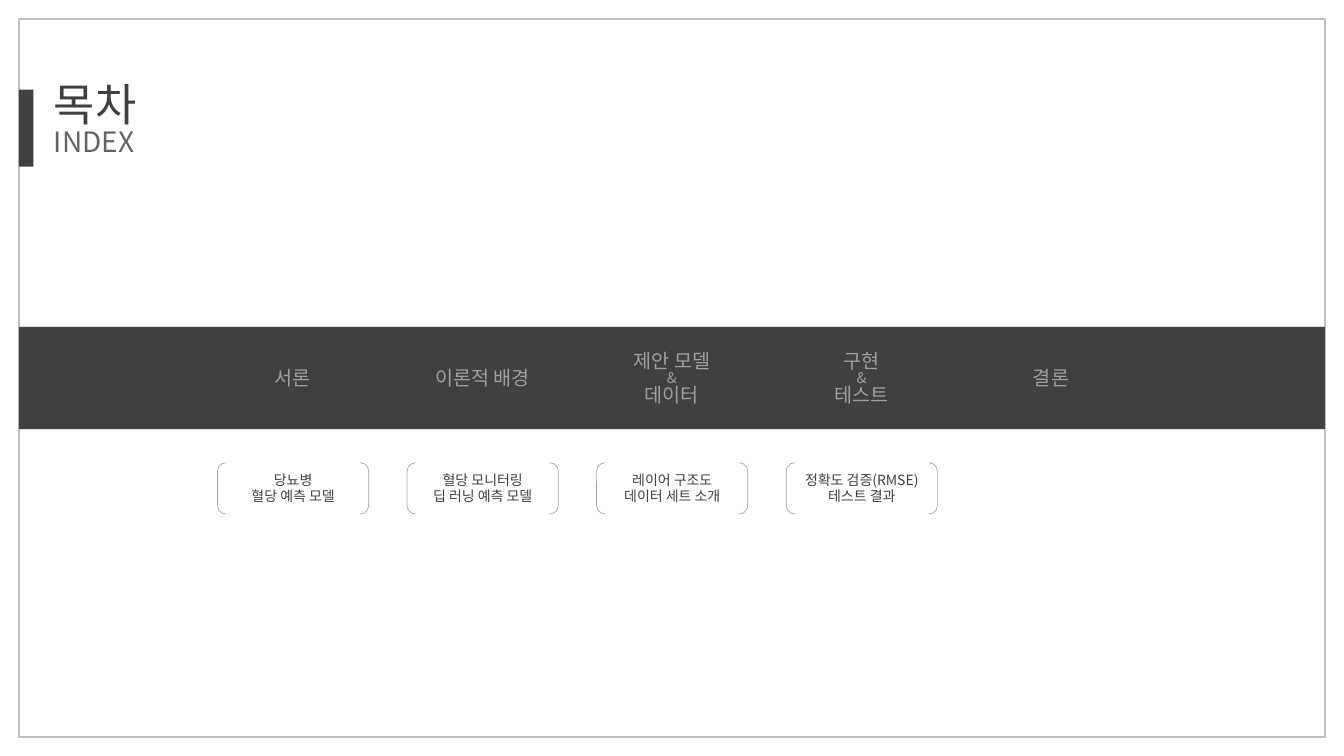
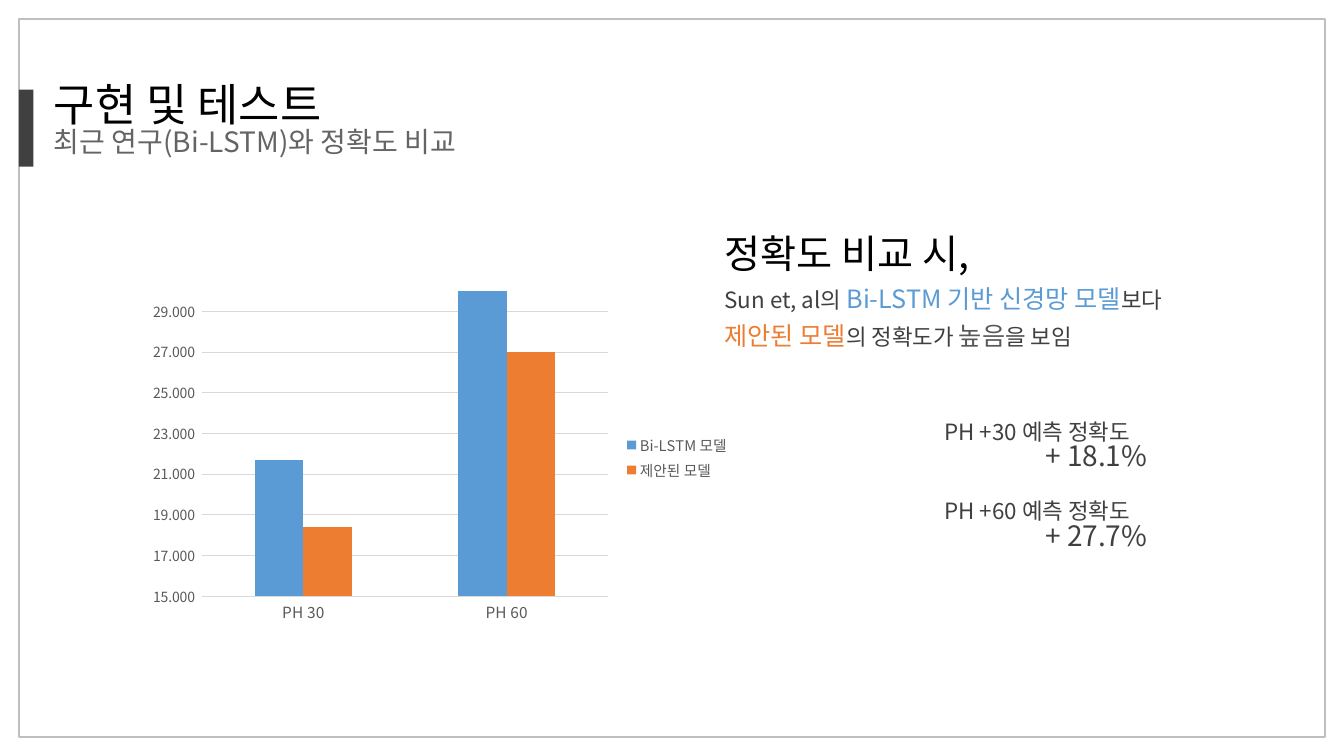
import pptx
import pptx.chart.data
import pptx.dml.color
import pptx.enum.chart
import pptx.enum.shapes
import pptx.enum.text
import pptx.oxml
import pptx.oxml.ns
import pptx.util

Pt = pptx.util.Pt
SHAPE = pptx.enum.shapes.MSO_SHAPE
ALIGN = pptx.enum.text.PP_ALIGN
ANCHOR = pptx.enum.text.MSO_ANCHOR
CHART = pptx.enum.chart

FONT = "Noto Sans CJK KR"
COLORS = {
    "black": "000000",
    "dark": "404040",
    "subtitle": "646464",
    "axis": "595959",
    "frame": "BFBFBF",
    "bracket": "A6A6A6",
    "label": "9F9F9F",
    "grid": "D9D9D9",
    "blue": "5B9BD5",
    "orange": "ED7D31",
}
COLORS = {name: pptx.dml.color.RGBColor.from_string(value) for name, value in COLORS.items()}


def add_box(slide, kind, box, fill=None, line=None, width=1):
    shape = slide.shapes.add_shape(kind, *map(Pt, box))
    shape.shadow.inherit = False
    if fill:
        shape.fill.solid()
        shape.fill.fore_color.rgb = COLORS[fill]
    else:
        shape.fill.background()
    if line:
        shape.line.color.rgb = COLORS[line]
        shape.line.width = Pt(width)
    else:
        shape.line.fill.background()
    return shape


def write_text(shape, paragraphs, frame_format):
    frame = shape.text_frame
    for name, value in frame_format.items():
        setattr(frame, name, value)
    for index, (runs, paragraph_format) in enumerate(paragraphs):
        paragraph = frame.paragraphs[0] if index == 0 else frame.add_paragraph()
        for name, value in paragraph_format.items():
            if name == "indent":
                paragraph._p.get_or_add_pPr().set("marL", str(value))
            else:
                setattr(paragraph, name, value)
        for text, size, color in runs:
            run = paragraph.add_run()
            run.text = text
            for name, value in {"size": Pt(size), "name": FONT}.items():
                setattr(run.font, name, value)
            run.font.color.rgb = COLORS[color]


presentation = pptx.Presentation()
presentation.slide_width = Pt(960)
presentation.slide_height = Pt(540)

WRAPPED = {"word_wrap": True}
TIGHT = {"line_spacing": 0.82}
CENTERED = {"line_spacing": 0.82, "alignment": ALIGN.CENTER}

slides = []
for title, title_color, subtitle in [
    ("목차", "dark", "INDEX"),
    ("구현 및 테스트", "black", "최근 연구(Bi-LSTM)와 정확도 비교"),
]:
    slide = presentation.slides.add_slide(presentation.slide_layouts[6])
    add_box(slide, SHAPE.RECTANGLE, (13.5, 13.5, 933, 513), line="frame")
    add_box(slide, SHAPE.RECTANGLE, (13.5, 64, 10.5, 55), fill="dark")
    heading = slide.shapes.add_textbox(Pt(31.5), Pt(58), Pt(463), Pt(70))
    write_text(heading, [
        ([(title, 32, title_color)], TIGHT),
        ([(subtitle, 20, "subtitle")], TIGHT),
    ], WRAPPED)
    slides.append(slide)
index_slide, result_slide = slides

add_box(index_slide, SHAPE.RECTANGLE, (13.5, 233.5, 933, 73), fill="dark")
chapters = [
    (["서론"], ["당뇨병", "혈당 예측 모델"]),
    (["이론적 배경"], ["혈당 모니터링", "딥 러닝 예측 모델"]),
    (["제안 모델", "&", "데이터"], ["레이어 구조도", "데이터 세트 소개"]),
    (["구현", "&", "테스트"], ["정확도 검증(RMSE)", "테스트 결과"]),
    (["결론"], []),
]
for column, (label_lines, topics) in enumerate(chapters):
    left = 155.4 + column * 135.4
    label = index_slide.shapes.add_textbox(Pt(left + 4.5), Pt(243), Pt(98.6), Pt(56))
    write_text(label, [
        ([(line, 10.5 if line == "&" else 14, "label")], CENTERED) for line in label_lines
    ], {"word_wrap": True, "vertical_anchor": ANCHOR.MIDDLE})
    if topics:
        bracket = add_box(index_slide, SHAPE.DOUBLE_BRACKET, (left, 330.5, 108, 36.7), line="bracket", width=0.5)
        write_text(bracket, [
            ([(topic, 10, "dark")], {"line_spacing": 0.94, "alignment": ALIGN.CENTER}) for topic in topics
        ], {
            "word_wrap": False, "vertical_anchor": ANCHOR.MIDDLE,
            "margin_left": 0, "margin_right": 0, "margin_top": 0, "margin_bottom": 0,
        })

chart_data = pptx.chart.data.CategoryChartData()
chart_data.categories = ["PH 30", "PH 60"]
chart_data.add_series("Bi-LSTM 모델", (21.7, 36.9))
chart_data.add_series("제안된 모델", (18.4, 27))
chart = result_slide.shapes.add_chart(
    CHART.XL_CHART_TYPE.COLUMN_CLUSTERED, Pt(101.5), Pt(203), Pt(427), Pt(247.7), chart_data
).chart
chart.has_title = False
chart.has_legend = True
chart.legend.position = CHART.XL_LEGEND_POSITION.RIGHT
chart.legend.include_in_layout = False
plot = chart.plots[0]
for name, value in {"gap_width": 219, "overlap": 0, "vary_by_categories": False}.items():
    setattr(plot, name, value)
for series, color in zip(plot.series, ("blue", "orange")):
    series.format.fill.solid()
    series.format.fill.fore_color.rgb = COLORS[color]

value_axis, category_axis = chart.value_axis, chart.category_axis
for name, value in {"minimum_scale": 15, "maximum_scale": 30, "major_unit": 2}.items():
    setattr(value_axis, name, value)
value_axis.tick_labels.number_format = r"#,##0.000_);[Red]\(#,##0.000\)"
value_axis.tick_labels.number_format_is_linked = False
value_axis.format.line.fill.background()
for axis in (value_axis, category_axis):
    axis.major_tick_mark = CHART.XL_TICK_MARK.NONE
for line in (value_axis.major_gridlines.format.line, category_axis.format.line):
    line.color.rgb = COLORS["grid"]
    line.width = Pt(0.75)
for font, size in [
    (chart.font, 10),
    (value_axis.tick_labels.font, 10),
    (category_axis.tick_labels.font, 11),
    (chart.legend.font, 10.5),
]:
    for name, value in {"size": Pt(size), "name": FONT}.items():
        setattr(font, name, value)
    font.color.rgb = COLORS["axis"]

plot_area = chart._chartSpace.chart.plotArea
for old_layout in plot_area.findall(pptx.oxml.ns.qn("c:layout")):
    plot_area.remove(old_layout)
layout_values = {
    "layoutTarget": "inner", "xMode": "edge", "yMode": "edge",
    "x": 0.1, "y": 0.02, "w": 0.68, "h": 0.88,
}
layout_items = "".join(f'<c:{name} val="{value}"/>' for name, value in layout_values.items())
plot_area.insert(0, pptx.oxml.parse_xml(
    f'<c:layout {pptx.oxml.ns.nsdecls("c")}><c:manualLayout>{layout_items}</c:manualLayout></c:layout>'
))

FINDING = {"line_spacing": 0.77, "space_before": Pt(10)}
finding = result_slide.shapes.add_textbox(Pt(510.5), Pt(167.5), Pt(370), Pt(110))
write_text(finding, [
    ([("정확도 비교 시,", 28, "black")], {"line_spacing": 0.77}),
    ([("Sun et, al의 ", 16, "dark"), ("Bi-LSTM 기반 신경망 모델", 18, "blue"), ("보다", 16, "dark")], FINDING),
    ([("제안된 모델", 18, "orange"), ("의 정확도가 ", 16, "dark"), ("높음", 18, "axis"), ("을 보임", 16, "dark")], FINDING),
], WRAPPED)

gains = []
for horizon, gain, gap in [("+30", "18.1%", 0), ("+60", "27.7%", 21.4)]:
    gains.append(([(f"PH {horizon} 예측 정확도", 16, "dark")], {"line_spacing": 0.82, "space_before": Pt(gap)}))
    gains.append(([(f"+ {gain}", 20, "dark")], {"line_spacing": 0.82, "indent": Pt(72)}))
accuracy = result_slide.shapes.add_textbox(Pt(667.5), Pt(298.5), Pt(178.5), Pt(117))
write_text(accuracy, gains, WRAPPED)

for root in (index_slide.element, result_slide.element, chart._chartSpace):
    for latin in list(root.iter(pptx.oxml.ns.qn("a:latin"))):
        latin.addnext(pptx.oxml.parse_xml(f'<a:ea {pptx.oxml.ns.nsdecls("a")} typeface="{FONT}"/>'))

presentation.save("out.pptx")
